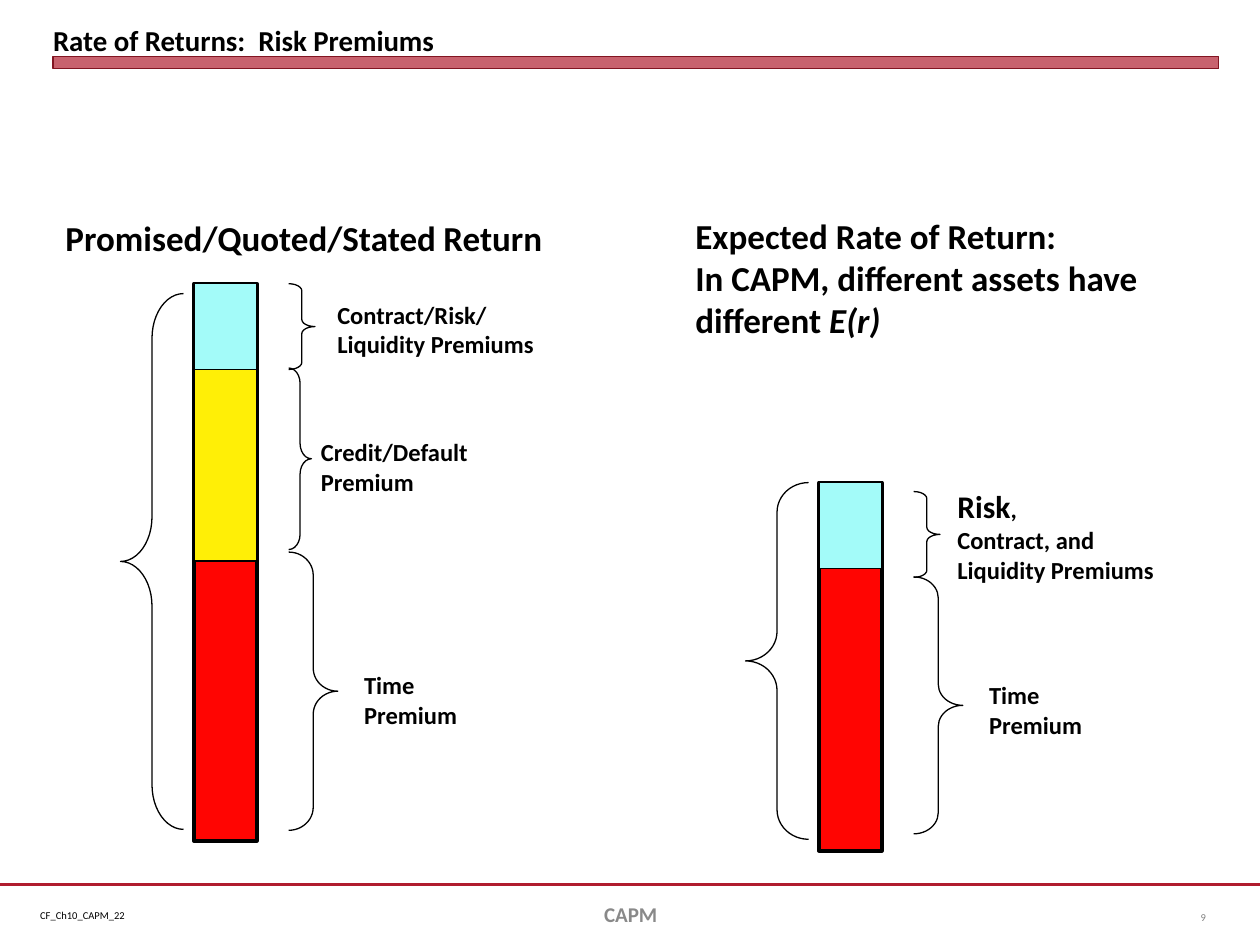
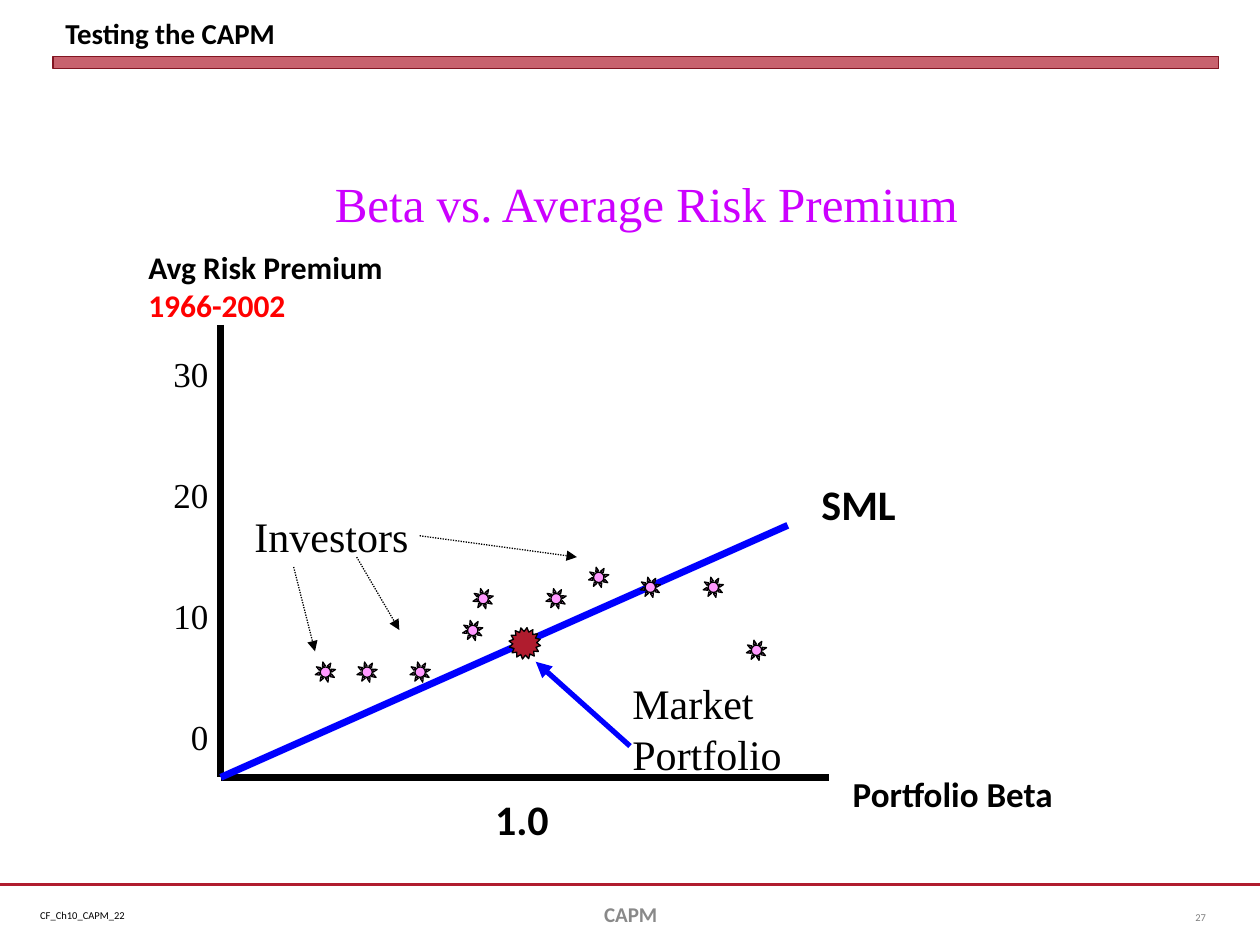
"""Build two CAPM lecture slides: stacked risk premiums and a beta test plot."""
from dataclasses import dataclass

from pptx import Presentation
from pptx.dml.color import RGBColor
from pptx.enum.dml import MSO_LINE
from pptx.enum.shapes import MSO_CONNECTOR, MSO_SHAPE as Preset
from pptx.enum.text import MSO_ANCHOR as Anchor, MSO_AUTO_SIZE, PP_ALIGN as Align
from pptx.oxml.ns import qn
from pptx.util import Cm, Pt
from lxml.etree import SubElement

COLORS = {
    "ink": "000000", "crimson": "B01C2E", "band_edge": "821522",
    "footer": "898989", "number": "808080", "time": "FF0502",
    "credit": "FFEF06", "risk": "A3FBF9", "market_line": "0000FF",
    "years": "FF0000", "heading": "CC00FF", "investor": "FF99FF",
}
SERIF = "Times New Roman"


@dataclass
class Span:
    text: str
    size: float
    bold: bool = True
    italic: bool = False
    color: str = "ink"
    font: str = "Calibri"


def serif(text, size, color="ink"):
    return Span(text, size, bold=False, color=color, font=SERIF)


BAR_WIDTH = 1.27
RIGHT_BRACE_OFFSET, LEFT_BRACE_OFFSET = 1.91, -1.48
BARS = [
    {
        "left": 3.91, "top": 5.72, "height": 11.23,
        "dividers": [(11.23, 2.25), (7.42, 2)],
        "layers": [("credit", 7.42, 3.89), ("risk", 5.72, 1.73)],
        "total": (5.92, 1.27, 10.8, 0.71),
        "parts": [(11.13, 0.99, 5.61, 0.47), (5.72, 0.53, 1.73, 0.27),
                  (7.42, 0.46, 3.66, 0.67)],
    },
    {
        "left": 16.51, "top": 9.73, "height": 7.42,
        "dividers": [(11.43, 2.25), (9.73, 2)],
        "layers": [("risk", 9.73, 1.73)],
        "total": (9.73, 1.27, 7.19, 0.47),
        "parts": [(11.63, 0.99, 5.18, 0.43), (9.91, 0.53, 1.73, 0.27)],
    },
]
PREMIUM_TEXTS = [
    ((1.07, 4.24, 10.59, 1.12), [[
        Span("Promised/Quoted/Stated", 20), Span(" ", 18), Span("Return", 20)]]),
    ((7.09, 13.39, 2.69, 1.45), [[Span("Time Premium", 14)]]),
    ((6.55, 5.92, 4.88, 1.45), [[Span("Contract/Risk/", 14)],
                                [Span("Liquidity Premiums", 14)]]),
    ((6.22, 8.69, 3.71, 1.45), [[Span("Credit/Default Premium", 14)]]),
    ((19.69, 13.59, 2.69, 1.45), [[Span("Time Premium", 14)]]),
    ((19.05, 9.7, 5.72, 2.24), [[Span("Risk", 18), Span(",", 14)],
                                [Span("Contract, and", 14)],
                                [Span("Liquidity Premiums", 14)]]),
    ((13.77, 4.19, 10.36, 2.79), [
        [Span("Expected Rate of Return:", 20)],
        [Span("In CAPM, different assets have different", 20),
         Span(" E(r)", 20, italic=True)]]),
]

ORIGIN = (4.45, 15.67)
PLOT_LINES = [
    ((4.45, 6.55), ORIGIN, "ink", 4),
    (ORIGIN, (16.71, 15.67), "ink", 4),
    (ORIGIN, (15.88, 10.59), "market_line", 4),
]
INVESTOR_ARROWS = [
    ((5.92, 11.43), (6.35, 13.13)),
    ((7.19, 11.23), (8.05, 12.7)),
    ((8.46, 10.8), (11.63, 11.23)),
]
MARKET_ARROW = ((12.7, 15.04), (10.8, 13.34))
STAR_SIZE, MARKET_SIZE, STAR_TILT = 0.42, 0.64, 30.7
INVESTORS = [
    (7.19, 13.34), (9.53, 11.86), (6.35, 13.34), (8.26, 13.34), (9.32, 12.5),
    (11, 11.86), (11.86, 11.43), (12.9, 11.63), (14.17, 11.63), (15.04, 12.9),
]
MARKET = (10.26, 12.65)
PLOT_TEXTS = [
    ((2.74, 4.88, 6.15, 1.78), [[Span("Avg Risk Premium ", 18),
                                 Span("1966-2002", 18, color="years")]]),
    ((16.94, 15.44, 5.51, 1.12), [[Span("Portfolio Beta", 20)]]),
    ((9.73, 15.88, 3.18, 1.3), [[Span("1.0", 24)]]),
    ((16.31, 9.53, 5.51, 1.3), [[Span("SML", 24)]]),
    ((4.88, 10.16, 4.45, 1.27), [[serif("Investors", 24)]]),
    ((12.5, 13.54, 4.45, 2.29), [[serif("Market Portfolio", 24)]]),
]
TICKS = ["30", "20", "10", "0"]
TICK_GAP = 45


def rgb(name):
    return RGBColor.from_string(COLORS[name])


def write(frame, paragraphs, align=Align.LEFT, gap=0):
    for index, spans in enumerate(paragraphs):
        para = frame.add_paragraph() if index else frame.paragraphs[0]
        para.alignment = align
        para.space_before = Pt(gap if index else 0)
        for item in spans:
            span = para.add_run()
            span.text = item.text
            font = span.font
            font.name, font.size = item.font, Pt(item.size)
            font.bold, font.italic = item.bold, item.italic
            font.color.rgb = rgb(item.color)


def add_text(page, place, paragraphs, align=Align.LEFT, gap=0,
             anchor=Anchor.TOP, wrap=True):
    frame = page.shapes.add_textbox(*map(Cm, place)).text_frame
    frame.word_wrap = wrap
    frame.vertical_anchor = anchor
    write(frame, paragraphs, align, gap)


def add_shape(page, preset, place, fill=None, line="ink", weight=0.75, adjust=None):
    shape = page.shapes.add_shape(preset, *map(Cm, place))
    shape.shadow.inherit = False
    if fill:
        shape.fill.solid()
        shape.fill.fore_color.rgb = rgb(fill)
    else:
        shape.fill.background()
    shape.line.color.rgb = rgb(line)
    shape.line.width = Pt(weight)
    if adjust is not None:
        shape.adjustments[0] = adjust
    return shape


def add_line(page, start, end, color="ink", weight=0.75, dash=None, arrow=False):
    connector = page.shapes.add_connector(
        MSO_CONNECTOR.STRAIGHT, *map(Cm, (*start, *end)))
    connector.line.color.rgb = rgb(color)
    connector.line.width = Pt(weight)
    if dash:
        connector.line.dash_style = dash
    properties = connector._element.spPr
    if arrow:
        SubElement(properties.find(qn("a:ln")), qn("a:tailEnd"), type="triangle")
    SubElement(properties, qn("a:effectLst"))


def add_page(deck, title, number, inset=(0, 0)):
    page = deck.slides.add_slide(deck.slide_layouts[5])
    add_line(page, (0, 17.83), (25.4, 17.83), "crimson", 1.25)
    add_text(page, (0.56, 18.19, 2.24, 0.51),
             [[Span("CF_Ch10_CAPM_22", 6, bold=False)]], wrap=False)
    band = add_shape(page, Preset.RECTANGLE, (1.07, 1.14, 23.5, 0.25),
                     "crimson", "band_edge", 0)
    shade = band._element.spPr.find(qn("a:solidFill"))[0]
    SubElement(shade, qn("a:alpha"), val="69000")

    holder = page.shapes.title
    holder.left, holder.top, holder.width, holder.height = map(
        Cm, (1.07, 0.13, 23.5, 1.02))
    frame = holder.text_frame
    frame.auto_size = MSO_AUTO_SIZE.NONE
    frame.vertical_anchor = Anchor.BOTTOM
    frame.margin_left = frame.margin_right = Cm(inset[0])
    frame.margin_top = frame.margin_bottom = Cm(inset[1])
    write(frame, [[Span(title, 16.5)]])

    add_text(page, (8.69, 17.91, 8.05, 1.02), [[Span("CAPM", 12, color="footer")]],
             Align.CENTER, anchor=Anchor.MIDDLE)
    add_text(page, (23.29, 17.98, 1.27, 1.02),
             [[Span(str(number), 6, bold=False, color="number")]],
             Align.RIGHT, anchor=Anchor.MIDDLE)
    return page


def add_bar(page, bar):
    left = bar["left"]
    add_shape(page, Preset.RECTANGLE, (left, bar["top"], BAR_WIDTH, bar["height"]),
              "time", weight=2.25)
    for top, weight in bar["dividers"]:
        add_line(page, (left, top), (left + BAR_WIDTH, top), weight=weight)
    for color, top, height in bar["layers"]:
        add_shape(page, Preset.RECTANGLE, (left, top, BAR_WIDTH, height), color)
    braces = [(Preset.LEFT_BRACE, LEFT_BRACE_OFFSET, bar["total"])]
    braces += [(Preset.RIGHT_BRACE, RIGHT_BRACE_OFFSET, part) for part in bar["parts"]]
    for preset, offset, (top, width, height, curve) in braces:
        add_shape(page, preset, (left + offset, top, width, height), adjust=curve)


def build_premiums(deck):
    page = add_page(deck, "Rate of Returns:  Risk Premiums", 9)
    for bar in BARS:
        add_bar(page, bar)
    for place, paragraphs in PREMIUM_TEXTS:
        add_text(page, place, paragraphs)


def build_test(deck):
    page = add_page(deck, "Testing the CAPM", 27, inset=(0.25, 0.13))
    for start, end, color, weight in PLOT_LINES:
        add_line(page, start, end, color, weight)
    for place, paragraphs in PLOT_TEXTS:
        add_text(page, place, paragraphs)
    add_text(page, (2.11, 6.99, 2.34, 8.71), [[serif(tick, 20)] for tick in TICKS],
             Align.RIGHT, TICK_GAP)
    for start, end in INVESTOR_ARROWS:
        add_line(page, start, end, dash=MSO_LINE.ROUND_DOT, arrow=True)
    stars = [(Preset.SUN, spot, STAR_SIZE, "investor", 0.25) for spot in INVESTORS]
    stars.append((Preset.STAR_16_POINT, MARKET, MARKET_SIZE, "crimson", 0.375))
    for preset, spot, size, color, depth in stars:
        star = add_shape(page, preset, (*spot, size, size), color, adjust=depth)
        star.rotation = STAR_TILT
    add_line(page, *MARKET_ARROW, "market_line", 3, arrow=True)
    add_text(page, (5.51, 3.38, 15.04, 1.45),
             [[serif("Beta vs. Average Risk Premium", 28, "heading")]], Align.CENTER)


def main():
    deck = Presentation()
    deck.slide_width, deck.slide_height = Cm(25.4), Cm(19.05)
    build_premiums(deck)
    build_test(deck)
    deck.save("out.pptx")


if __name__ == "__main__":
    main()
